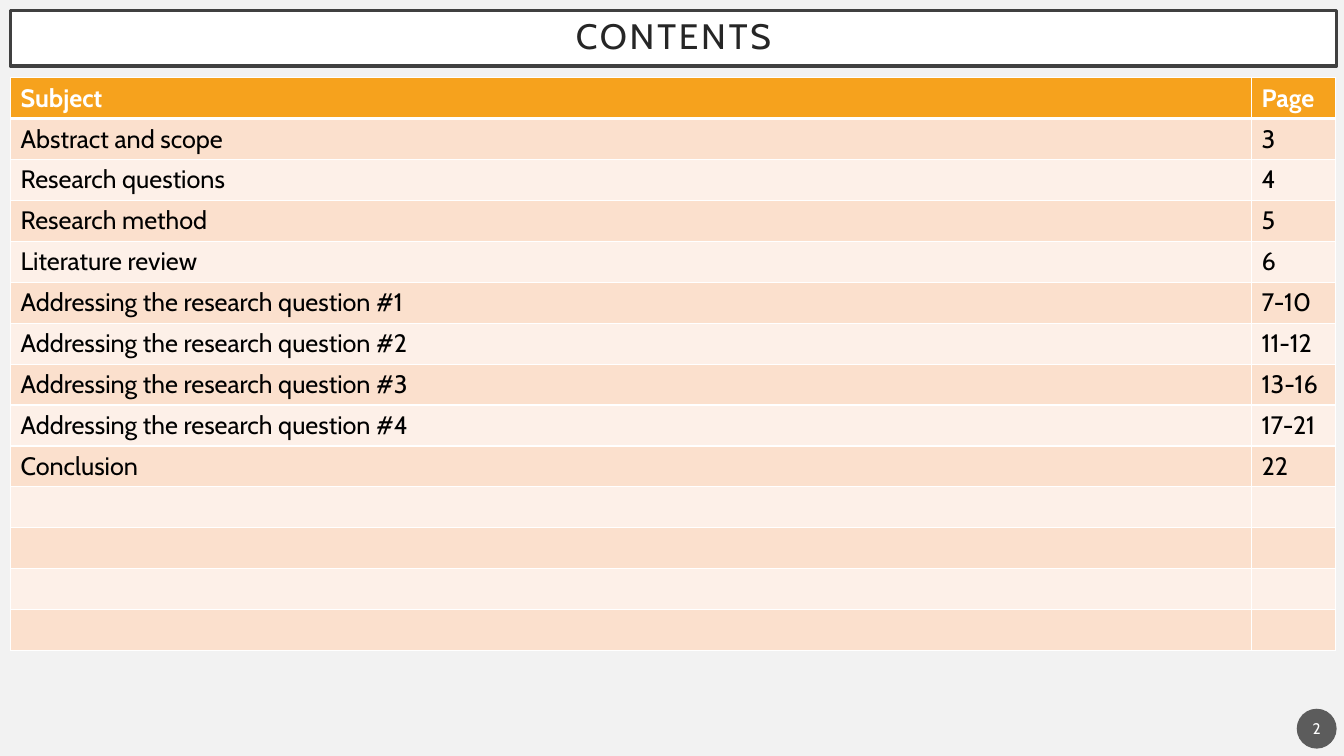
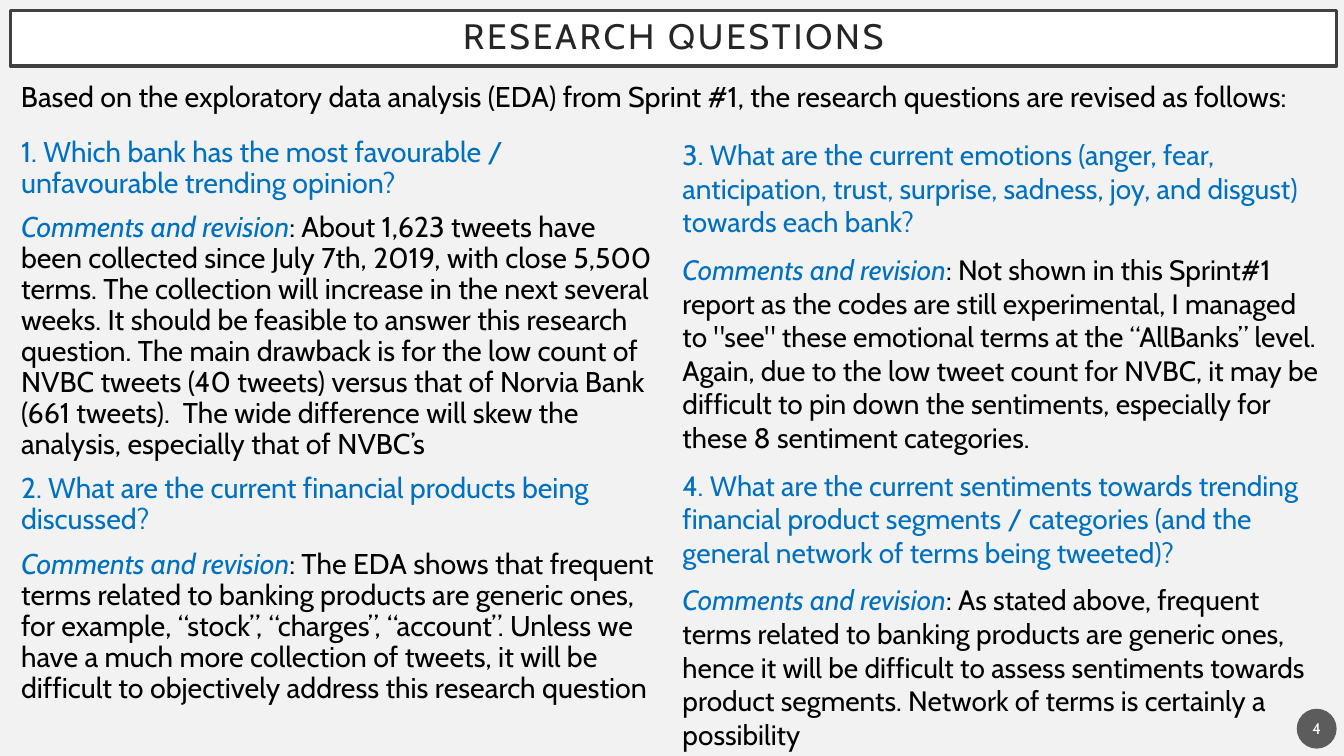
from pptx import Presentation
from pptx.dml.color import RGBColor
from pptx.enum.shapes import MSO_SHAPE
from pptx.enum.text import MSO_ANCHOR, MSO_AUTO_SIZE, PP_ALIGN
from pptx.oxml.ns import qn
from pptx.util import Pt
from lxml import etree

PX = 9525  # EMU per px, 96 px to the inch
WIDE, HIGH = 1280, 720
FONT = "Cabin"
OVAL = MSO_SHAPE.OVAL
MID, TOP = MSO_ANCHOR.MIDDLE, MSO_ANCHOR.TOP
LEFT, CENTER = PP_ALIGN.LEFT, PP_ALIGN.CENTER
FIXED = MSO_AUTO_SIZE.NONE

PAPER = RGBColor(0xF2, 0xF2, 0xF2)
WHITE = RGBColor(0xFF, 0xFF, 0xFF)
BLACK = RGBColor(0x00, 0x00, 0x00)
FRAME = RGBColor(0x40, 0x40, 0x40)
INK = RGBColor(0x26, 0x26, 0x26)
DISC = RGBColor(0x1D, 0x1D, 0x1D)
BLUE = RGBColor(0x00, 0x70, 0xC0)
ORANGE = RGBColor(0xF6, 0xA2, 0x1D)
BANDS = (RGBColor(0xFD, 0xF0, 0xE8), RGBColor(0xFB, 0xE0, 0xCD))

# Boxes: left, top, width, height in px
TITLE = (10, 10, 1263, 53)
TABLE = (10, 74, 1262, 546)
INTRO = (10, 74, 1261, 53)
COL_A = (10, 126, 631, 584)
COL_B = (640, 126, 631, 584)
BADGE = (1235, 675, 38, 38)

ROWS = [
    ("Subject", "Page"),
    ("Abstract and scope", "3"),
    ("Research questions", "4"),
    ("Research method", "5"),
    ("Literature review", "6"),
    ("Addressing the research question #1", "7-10"),
    ("Addressing the research question #2", "11-12"),
    ("Addressing the research question #3", "13-16"),
    ("Addressing the research question #4", "17-21"),
    ("Conclusion", "22"),
] + [("", "")] * 4

LEAD = ("Based on the exploratory data analysis (EDA) from Sprint #1, "
        "the research questions are revised as follows:")
NOTE = "Comments and revision"

# Pairs of question and comment
PAIRS_A = [
    ("1. Which bank has the most favourable / unfavourable trending opinion?",
     ": About 1,623 tweets have been collected since July 7th, 2019, with "
     "close 5,500 terms. The collection will increase in the next several "
     "weeks. It should be feasible to answer this research question. The "
     "main drawback is for the low count of NVBC tweets (40 tweets) versus "
     "that of Norvia Bank (661 tweets).  The wide difference will skew the "
     "analysis, especially that of NVBC’s"),
    ("2. What are the current financial products being discussed?",
     ": The EDA shows that frequent terms related to banking products are "
     "generic ones, for example, “stock”, “charges”, “account”. Unless we "
     "have a much more collection of tweets, it will be difficult to "
     "objectively address this research question"),
]
PAIRS_B = [
    ("3. What are the current emotions (anger, fear, anticipation, trust, "
     "surprise, sadness, joy, and disgust) towards each bank?",
     ": Not shown in this Sprint#1 report as the codes are still "
     "experimental, I managed to \"see\" these emotional terms at the "
     "“AllBanks” level.  Again, due to the low tweet count for NVBC, it may "
     "be difficult to pin down the sentiments, especially for these 8 "
     "sentiment categories."),
    ("4. What are the current sentiments towards trending financial product "
     "segments / categories (and the general network of terms being "
     "tweeted)?",
     ": As stated above, frequent terms related to banking products are "
     "generic ones, hence it will be difficult to assess sentiments towards "
     "product segments. Network of terms is certainly a possibility"),
]


def emu(box):
    return [n * PX for n in box]


def place(shape, box):
    shape.left, shape.top, shape.width, shape.height = emu(box)


def add_run(para, text, size, color, bold=False, italic=False):
    run = para.add_run()
    run.text = text
    font = run.font
    font.name, font.size = FONT, Pt(size)
    font.bold, font.italic = bold, italic
    font.color.rgb = color
    return run


def set_frame(shape, anchor, side=10, edge=5):
    frame = shape.text_frame
    frame.word_wrap, frame.auto_size = True, FIXED
    frame.vertical_anchor = anchor
    frame.margin_left = frame.margin_right = side * PX
    frame.margin_top = frame.margin_bottom = edge * PX
    return frame


def add_title(slide, text):
    title = slide.shapes.title
    place(title, TITLE)
    title.fill.solid()
    title.fill.fore_color.rgb = WHITE
    title.line.color.rgb = FRAME
    title.line.width = Pt(2.5)
    para = set_frame(title, MID, 19, 19).paragraphs[0]
    para.alignment, para.line_spacing = CENTER, 0.9
    run = add_run(para, text, 25.2, INK)
    run.font._element.set("spc", "200")


def add_badge(slide, text):
    disc = slide.shapes.add_shape(OVAL, *emu(BADGE))
    disc.shadow.inherit = False
    disc.fill.solid()
    disc.fill.fore_color.rgb = DISC
    tint = disc._element.spPr.find(qn("a:solidFill"))[0]
    etree.SubElement(tint, qn("a:alpha")).set("val", "70000")
    disc.line.fill.background()
    para = set_frame(disc, MID, 2, 5).paragraphs[0]
    para.alignment = CENTER
    add_run(para, text, 11, WHITE)


def add_edges(cell, top, bottom):
    props = cell._tc.get_or_add_tcPr()
    sides = (("lnL", 1), ("lnR", 1), ("lnT", top), ("lnB", bottom))
    for spot, (name, width) in enumerate(sides):
        edge = etree.Element(qn("a:" + name), w=str(Pt(width)))
        fill = etree.SubElement(edge, qn("a:solidFill"))
        etree.SubElement(fill, qn("a:srgbClr")).set("val", str(WHITE))
        props.insert(spot, edge)


def add_table(slide, box, rows):
    grid = slide.shapes.add_table(len(rows), 2, *emu(box)).table
    grid.columns[0].width = (box[2] - 80) * PX
    grid.columns[1].width = 80 * PX
    for r, texts in enumerate(rows):
        grid.rows[r].height = box[3] * PX // len(rows)
        head = r == 0
        for c, text in enumerate(texts):
            cell = grid.cell(r, c)
            cell.fill.solid()
            cell.fill.fore_color.rgb = ORANGE if head else BANDS[r % 2]
            # Heavy rule under the header
            add_edges(cell, 3 if r == 1 else 1, 3 if head else 1)
            if text:
                add_run(cell.text_frame.paragraphs[0], text, 18,
                        WHITE if head else BLACK, bold=head)


def set_para(para, lines):
    para.alignment, para.line_spacing = LEFT, lines
    para.space_before, para.space_after = Pt(10), Pt(0)


def fill_list(shape, box, pairs, size, lines):
    place(shape, box)
    frame = set_frame(shape, TOP)
    for ask, reply in pairs:
        parts = ([(ask, BLUE, False)],
                 [(NOTE, BLUE, True), (reply, BLACK, False)])
        for runs in parts:
            para = frame.paragraphs[0]
            if para.runs:
                para = frame.add_paragraph()
            set_para(para, lines)
            # Plain text without bullet or hanging indent
            props = para._p.get_or_add_pPr()
            props.set("marL", "0")
            props.set("indent", "0")
            etree.SubElement(props, qn("a:buNone"))
            for text, color, slant in runs:
                add_run(para, text, size, color, italic=slant)


def add_intro(slide, box, text):
    lead = slide.shapes.add_textbox(*emu(box))
    para = set_frame(lead, TOP).paragraphs[0]
    set_para(para, 0.9)
    add_run(para, text, 20.4, BLACK)


def add_slide(deck, layout, title, page):
    slide = deck.slides.add_slide(deck.slide_layouts[layout])
    add_title(slide, title)
    add_badge(slide, page)
    return slide


def build_contents(deck):
    slide = add_slide(deck, 5, "CONTENTS", "2")
    add_table(slide, TABLE, ROWS)


def build_questions(deck):
    slide = add_slide(deck, 3, "RESEARCH QUESTIONS", "4")
    fill_list(slide.placeholders[1], COL_A, PAIRS_A, 20.4, 0.9)
    fill_list(slide.placeholders[2], COL_B, PAIRS_B, 20, 1.0)
    add_intro(slide, INTRO, LEAD)


def main():
    deck = Presentation()
    deck.slide_width, deck.slide_height = WIDE * PX, HIGH * PX
    back = deck.slide_master.background.fill
    back.solid()
    back.fore_color.rgb = PAPER
    build_contents(deck)
    build_questions(deck)
    deck.save("out.pptx")


if __name__ == "__main__":
    main()
